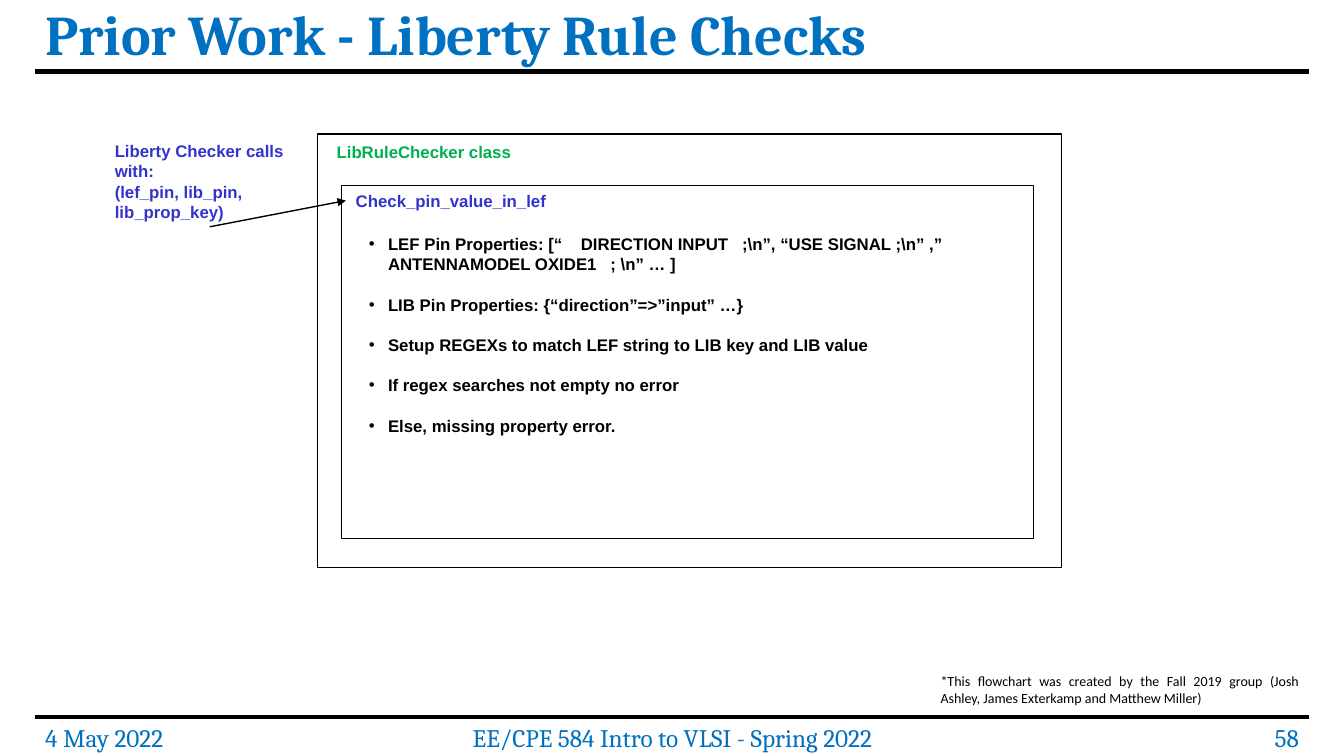
from dataclasses import dataclass

from pptx import Presentation
from pptx.dml.color import RGBColor
from pptx.enum.shapes import MSO_CONNECTOR as Conn, MSO_SHAPE as Kind
from pptx.enum.text import MSO_ANCHOR as Anchor, PP_ALIGN as Align
from pptx.oxml.ns import qn
from pptx.util import Inches, Pt
from lxml.etree import SubElement

BLACK, BLUE, INDIGO, GREEN = "000000", "0070C0", "3333CC", "00B050"


@dataclass
class Box:
    left: float
    top: float
    width: float
    height: float

    def span(self) -> list[int]:
        return [Inches(v) for v in (self.left, self.top, self.width, self.height)]


@dataclass
class Line:
    start: tuple[float, float]
    end: tuple[float, float]
    width: float
    arrow: bool = False


@dataclass
class Label:
    box: Box
    lines: list[str]
    style: dict


def paint(target, color: str) -> None:
    target.rgb = RGBColor.from_string(color)


def add_text(slide, box: Box, lines: list[str], *, size: float = 12,
             font: str = "Arial", color: str = BLACK, bold: bool = False,
             align=Align.LEFT, anchor=Anchor.TOP, bullet: bool = False,
             gap: float = 0, spacing: float = 1.0) -> None:
    frame = slide.shapes.add_textbox(*box.span()).text_frame
    frame.word_wrap = True
    frame.vertical_anchor = anchor
    for i, text in enumerate(lines):
        para = frame.add_paragraph() if i else frame.paragraphs[0]
        para.alignment = align
        para.line_spacing = spacing
        if i and gap:
            para.space_before = Pt(gap)
        if bullet:
            props = para._p.get_or_add_pPr()
            props.set("marL", str(Inches(0.19)))
            props.set("indent", str(Inches(-0.19)))
            SubElement(props, qn("a:buFont")).set("typeface", "Arial")
            SubElement(props, qn("a:buChar")).set("char", "•")
        run = para.add_run()
        run.text = text
        run.font.size = Pt(size)
        run.font.name = font
        run.font.bold = bold
        paint(run.font.color, color)


def add_frame(slide, box: Box) -> None:
    shape = slide.shapes.add_shape(Kind.RECTANGLE, *box.span())
    shape.shadow.inherit = False
    shape.fill.background()
    paint(shape.line.color, BLACK)
    shape.line.width = Pt(1)


def add_line(slide, line: Line) -> None:
    ends = [Inches(v) for v in line.start + line.end]
    link = slide.shapes.add_connector(Conn.STRAIGHT, *ends)
    paint(link.line.color, BLACK)
    link.line.width = Pt(line.width)
    if line.arrow:
        SubElement(link.line._get_or_add_ln(), qn("a:tailEnd")).set("type", "triangle")
    SubElement(link._element.spPr, qn("a:effectLst"))


FOOT = dict(size=18, font="Cambria", color=BLUE)
CALL = dict(color=INDIGO, bold=True)

FRAMES = [Box(3.15, 1.33, 7.38, 4.3), Box(3.39, 1.84, 6.86, 3.5)]

LINES = [
    Line((0.35, 0.71), (12.98, 0.71), 3),
    Line((0.35, 7.11), (12.98, 7.11), 3),
    Line((2.08, 2.25), (3.43, 1.99), 1, arrow=True),
]

STEPS = [
    r"LEF Pin Properties: [“    DIRECTION INPUT   ;\n”, “USE SIGNAL ;\n” ,” ANTENNAMODEL OXIDE1   ; \n” … ]",
    "LIB Pin Properties: {“direction”=>”input” …}",
    "Setup REGEXs to match LEF string to LIB key and LIB value",
    "If regex searches not empty no error",
    "Else, missing property error.",
]

LABELS = [
    Label(Box(0.35, 0, 12.62, 0.74), ["Prior Work - Liberty Rule Checks"],
          dict(size=40, font="Cambria", color=BLUE, bold=True,
               anchor=Anchor.MIDDLE, spacing=0.9)),
    Label(Box(1.04, 1.35, 2.07, 0.91),
          ["Liberty Checker calls with:", "(lef_pin, lib_pin, lib_prop_key)"], CALL),
    Label(Box(3.24, 1.36, 2.32, 0.3), ["LibRuleChecker class"],
          dict(color=GREEN, bold=True)),
    Label(Box(3.43, 1.84, 2.35, 0.3), ["Check_pin_value_in_lef"], CALL),
    Label(Box(3.56, 2.27, 6.55, 2.32), STEPS,
          dict(bold=True, bullet=True, gap=14.4)),
    Label(Box(9.23, 6.62, 3.75, 0.44),
          ["*This flowchart was created by the Fall 2019 group "
           "(Josh Ashley, James Exterkamp and Matthew Miller)"],
          dict(size=10, font="Calibri", align=Align.JUSTIFY)),
    Label(Box(0.35, 7.12, 1.79, 0.4), ["4 May 2022"], FOOT),
    Label(Box(4.06, 7.12, 5.22, 0.4), ["EE/CPE 584 Intro to VLSI - Spring 2022"],
          dict(FOOT, align=Align.CENTER)),
    Label(Box(11.55, 7.12, 1.43, 0.4), ["58"], dict(FOOT, align=Align.RIGHT)),
]


def main() -> None:
    deck = Presentation()
    deck.slide_width, deck.slide_height = Inches(13.33), Inches(7.5)
    slide = deck.slides.add_slide(deck.slide_layouts[6])
    for box in FRAMES:
        add_frame(slide, box)
    for label in LABELS:
        add_text(slide, label.box, label.lines, **label.style)
    for line in LINES:
        add_line(slide, line)
    deck.save("out.pptx")


if __name__ == "__main__":
    main()
